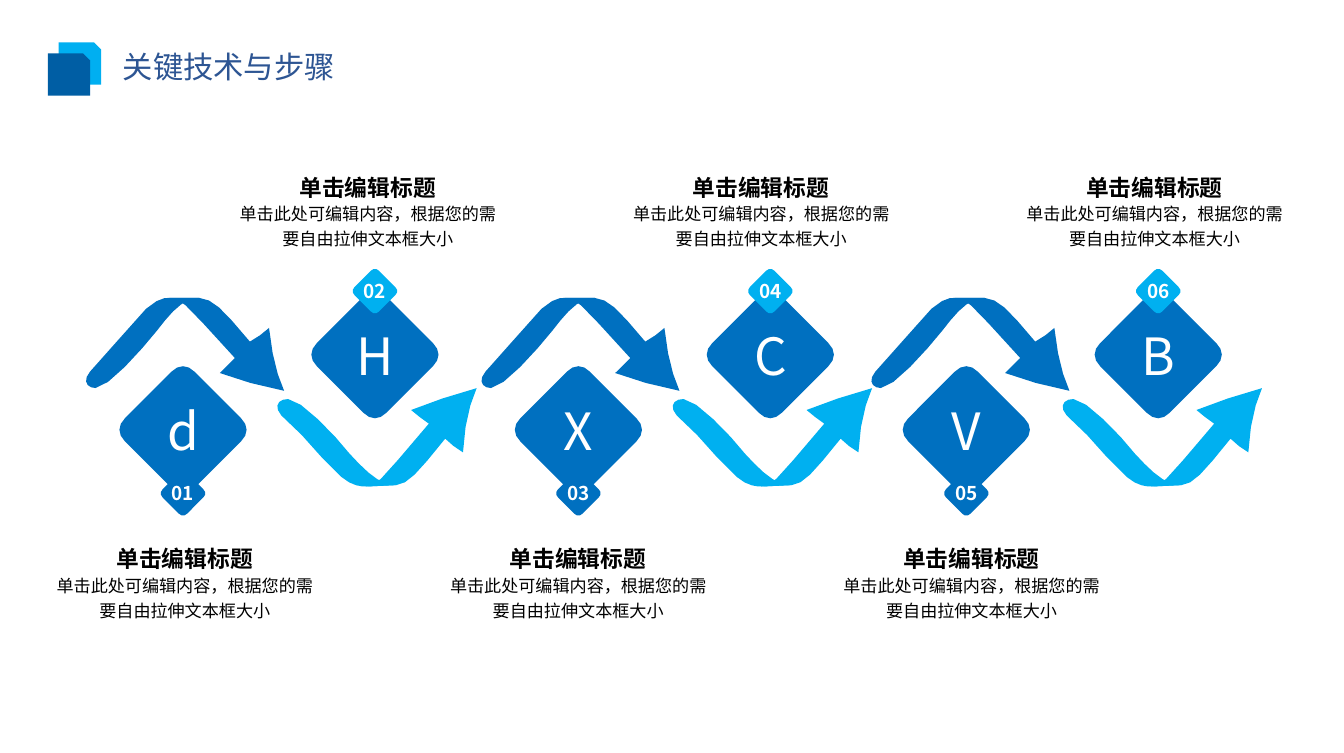
import math
from dataclasses import dataclass

import pptx
import pptx.dml.color
import pptx.enum.shapes
import pptx.enum.text
import pptx.util
from lxml import etree
from pptx.oxml.ns import qn

COLS, ROWS = 984, 551  # the slide as a grid of square cells
CELL = pptx.util.Inches(0.01)
TOLERANCE = 0.3  # cells between a curve and its straight pieces

Point = tuple[float, float]


@dataclass(frozen=True)
class Theme:
    dark: str = "0070C0"
    light: str = "00B0F0"
    logo_back: str = "00AFF1"
    logo_front: str = "005EA4"
    title: str = "2D5593"
    text: str = "000000"
    white: str = "FFFFFF"
    cjk: str = "Noto Sans CJK SC"
    latin: str = "Arial"
    title_size: int = 16
    letter_size: int = 27
    number_size: int = 10
    head_size: int = 12
    body_size: int = 9


@dataclass(frozen=True)
class Band:
    """One of the two rows of steps, placed for its first step."""
    color: str
    font: str
    tail: list[Point]
    head: list[Point]
    center: Point
    badge_y: float
    caption: Point


@dataclass(frozen=True)
class Step:
    letter: str
    number: str
    band: Band
    pair: int


T = Theme()
ARROW_SHIFT = (0, 289.5, 575)
DIAMOND_SHIFT = (0, 289.5, 573.5)
CAPTION_PITCH = 288
DIAMOND_RADIUS, BADGE_RADIUS = 46.5, 16.3
INSETS = (7, 4)
HEADING = "单击编辑标题"
BODY = "单击此处可编辑内容，根据您的需要自由拉伸文本框大小"

# Curves: a start point, then three points for each cubic segment.
LOWER = Band(
    T.dark, T.latin,
    tail=[(124, 218), (121, 218), (116, 218), (107, 226), (92, 241), (80, 258), (66, 272),
          (60, 279), (64, 284), (70, 284), (79, 284), (103, 257), (115, 242),
          (125, 229), (134, 218), (146, 218)],
    head=[(161, 273), (166, 268), (167, 267), (172, 262), (132, 218), (132, 218), (124, 218),
          (146, 218), (146, 218), (146, 218), (156, 219), (162, 225), (183, 250),
          (190, 246), (191, 245), (197, 240), (199, 260), (203, 275), (208, 286),
          (188, 282), (178, 279), (161, 273)],
    center=(134, 314.5), badge_y=361, caption=(41, 395))
UPPER = Band(
    T.light, T.cjk,
    tail=[(268, 356), (265, 356), (258, 356), (250, 349), (234, 335), (222, 317), (206, 304),
          (200, 297), (204, 292), (211, 292), (220, 292), (245, 318), (256, 332),
          (268, 345), (278, 355), (290, 355)],
    head=[(301, 300), (306, 304), (308, 306), (314, 310), (275, 356), (275, 356), (268, 356),
          (290, 355), (290, 355), (290, 355), (299, 354), (305, 347), (326, 321),
          (331, 326), (333, 327), (339, 331), (340, 311), (344, 295), (349, 284),
          (328, 290), (319, 293), (301, 300)],
    center=(274.5, 259.5), badge_y=213, caption=(175, 123))
STEPS = [Step(letter, f"{i + 1:02}", (LOWER, UPPER)[i % 2], i // 2)
         for i, letter in enumerate("dHXCVB")]


def cells(n: float) -> int:
    return round(n * CELL)


def color(code: str) -> pptx.dml.color.RGBColor:
    return pptx.dml.color.RGBColor.from_string(code)


def cubic(a: Point, b: Point, c: Point, d: Point) -> list[Point]:
    """Points along a cubic curve after its start, fewer where it is flat."""
    dx, dy = d[0] - a[0], d[1] - a[1]
    chord = math.hypot(dx, dy) or 1
    bulge = max(abs(dx * (p[1] - a[1]) - dy * (p[0] - a[0])) / chord for p in (b, c))
    count = max(1, math.ceil(math.sqrt(0.75 * bulge / TOLERANCE)))
    points = []
    for i in range(1, count + 1):
        t = i / count
        w = ((1 - t) ** 3, 3 * t * (1 - t) ** 2, 3 * t * t * (1 - t), t ** 3)
        points.append(tuple(sum(k * p[axis] for k, p in zip(w, (a, b, c, d)))
                            for axis in (0, 1)))
    return points


def curve(knots: list[Point]) -> list[Point]:
    points = [knots[0]]
    for i in range(0, len(knots) - 1, 3):
        points += cubic(*knots[i:i + 4])
    return points


def diamond(cx: float, cy: float, radius: float) -> list[Point]:
    """Outline of a diamond whose four corners are rounded."""
    corner = [(-0.18, -0.915), (-0.07, -1.03), (0.07, -1.03), (0.18, -0.915)]
    points = []
    for _ in range(4):
        points += curve([(cx + x * radius, cy + y * radius) for x, y in corner])
        corner = [(-y, x) for x, y in corner]
    return points


def paint(sp, fill: str):
    sp.shadow.inherit = False
    sp.fill.solid()
    sp.fill.fore_color.rgb = color(fill)
    sp.line.fill.background()
    return sp


def add_outline(s, points: list[Point], fill: str):
    emu = [(cells(x), cells(y)) for x, y in points]
    builder = s.shapes.build_freeform(*emu[0])
    builder.add_line_segments(emu[1:], close=True)
    return paint(builder.convert_to_shape(), fill)


def write(sp, text: str, *, size: int, ink: str, font: str = T.cjk, bold: bool = False,
          align=pptx.enum.text.PP_ALIGN.CENTER, anchor=pptx.enum.text.MSO_ANCHOR.MIDDLE,
          insets: tuple[int, int] = INSETS, spacing: float = 1.0, grow: bool = False) -> None:
    tf = sp.text_frame
    tf.word_wrap = True
    tf.vertical_anchor = anchor
    kinds = pptx.enum.text.MSO_AUTO_SIZE
    tf.auto_size = kinds.SHAPE_TO_FIT_TEXT if grow else kinds.NONE
    tf.margin_left = tf.margin_right = cells(insets[0])
    tf.margin_top = tf.margin_bottom = cells(insets[1])
    p = tf.paragraphs[0]
    p.alignment = align
    p.line_spacing = spacing
    r = p.add_run()
    r.text = text
    r.font.size = pptx.util.Pt(size)
    r.font.bold = bold
    r.font.color.rgb = color(ink)
    r.font.name = font
    etree.SubElement(r.font._element, qn("a:ea")).set("typeface", T.cjk)


def add_caption(s, step: Step) -> None:
    x, y = step.band.caption
    x += step.pair * CAPTION_PITCH
    for text, dy, height, size, bold in ((HEADING, 0, 24, T.head_size, True),
                                         (BODY, 23, 36, T.body_size, False)):
        sp = s.shapes.add_textbox(cells(x), cells(y + dy), cells(188.5), cells(height))
        write(sp, text, size=size, ink=T.text, font=step.band.font, bold=bold,
              anchor=pptx.enum.text.MSO_ANCHOR.TOP, insets=(0, 0), spacing=1.2, grow=True)


def add_header(s) -> None:
    for x, y, fill in ((43, 31, T.logo_back), (35, 39, T.logo_front)):
        paint(s.shapes.add_shape(pptx.enum.shapes.MSO_SHAPE.SNIP_1_RECTANGLE,
                                 cells(x), cells(y), cells(31), cells(31)), fill)
    title = s.shapes.title
    title.left, title.top, title.width, title.height = map(cells, (83, 31, 189, 34))
    write(title, "关键技术与步骤", size=T.title_size, ink=T.title, grow=True,
          align=pptx.enum.text.PP_ALIGN.LEFT, anchor=pptx.enum.text.MSO_ANCHOR.TOP)


def main() -> None:
    prs = pptx.Presentation()
    prs.slide_width, prs.slide_height = cells(COLS), cells(ROWS)
    s = prs.slides.add_slide(prs.slide_layouts[5])
    add_header(s)
    for step in STEPS:
        band, shift = step.band, ARROW_SHIFT[step.pair]
        for part in (band.tail, band.head):
            add_outline(s, [(x + shift, y) for x, y in curve(part)], band.color)
    for step in STEPS:
        band = step.band
        x = band.center[0] + DIAMOND_SHIFT[step.pair]
        sp = add_outline(s, diamond(x, band.center[1], DIAMOND_RADIUS), T.dark)
        write(sp, step.letter, size=T.letter_size, ink=T.white)
        sp = add_outline(s, diamond(x, band.badge_y, BADGE_RADIUS), band.color)
        write(sp, step.number, size=T.number_size, ink=T.white, bold=True)
        add_caption(s, step)
    prs.save("out.pptx")


if __name__ == "__main__":
    main()
